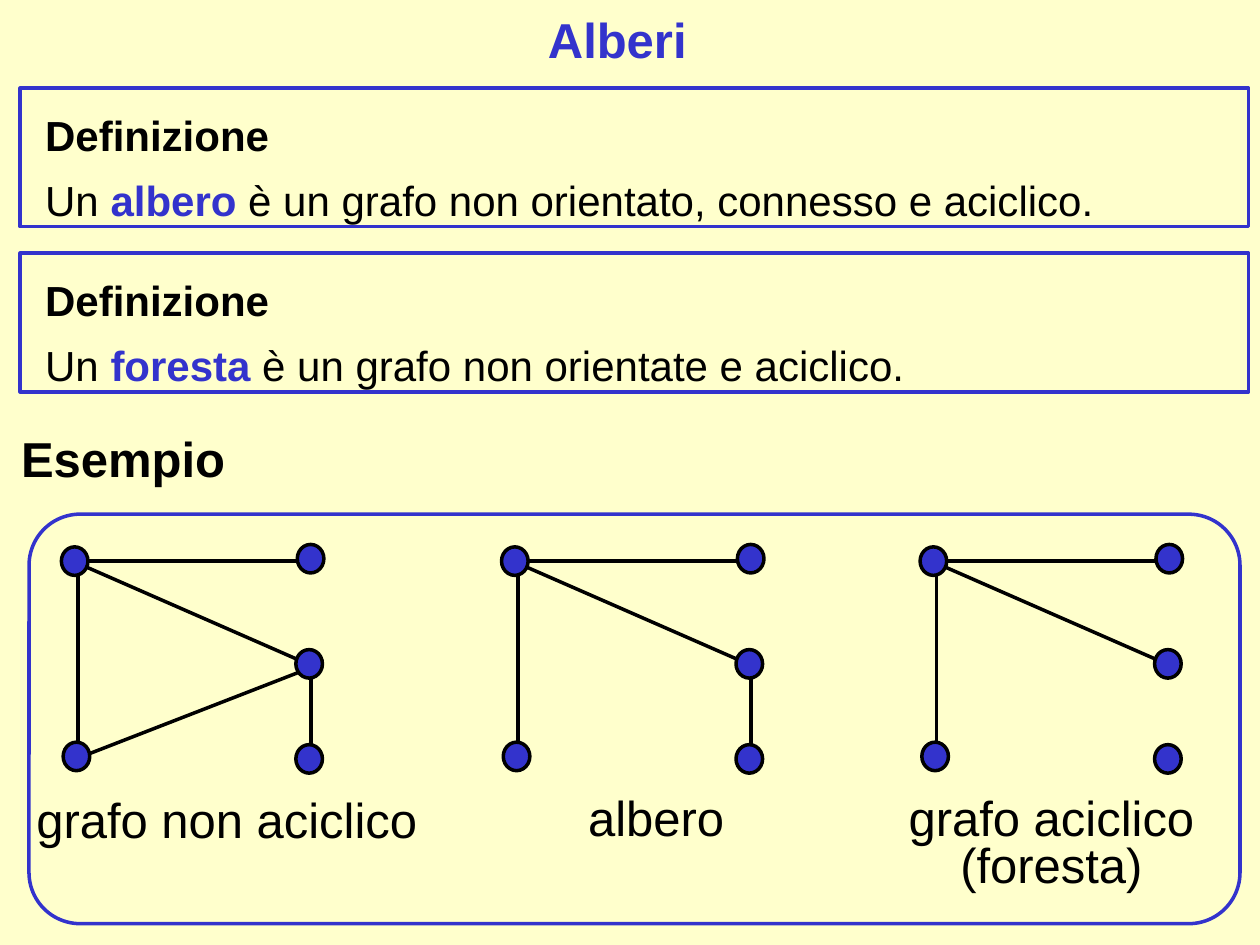
from lxml.etree import SubElement
from pptx import Presentation
from pptx.dml.color import RGBColor
from pptx.enum.shapes import MSO_CONNECTOR as Conn, MSO_SHAPE as Kind
from pptx.enum.text import MSO_ANCHOR as Anchor, MSO_AUTO_SIZE as Fit, PP_ALIGN as Align
from pptx.oxml.ns import qn
from pptx.util import Pt

BLUE = RGBColor(0x33, 0x33, 0xCC)
BLACK = RGBColor(0, 0, 0)
CREAM = RGBColor(0xFF, 0xFF, 0xCC)

# Node corners and edge ends, measured from the first node of a graph
NODES = {"A": (0, 0), "B": (134.8, -1.4), "C": (134, 58.7),
         "D": (1, 111.6), "E": (134, 113)}
EDGES = {"AB": (8.5, 8, 143.6, 8), "AC": (10.8, 10, 142.6, 67.7),
         "AD": (9.4, 11, 9.4, 116.6), "CE": (142.6, 71.3, 142.6, 120.2),
         "CD": (10.8, 120.2, 142.6, 69)}


class Board:
    font = "Arial"
    weight = Pt(2)

    def __init__(self, deck):
        self.slide = deck.slides.add_slide(deck.slide_layouts[5])
        fill = self.slide.background.fill
        fill.solid()
        fill.fore_color.rgb = CREAM

    def run(self, para, text, size, color=BLACK, bold=False):
        run = para.add_run()
        run.text = text
        font = run.font
        font.name, font.size, font.bold = self.font, Pt(size), bold
        font.color.rgb = color

    def title(self, text, x, y, w, h):
        box = self.slide.shapes.title
        box.left, box.top, box.width, box.height = map(Pt, (x, y, w, h))
        frame = box.text_frame
        frame.vertical_anchor = Anchor.MIDDLE
        para = frame.paragraphs[0]
        para.alignment = Align.CENTER
        self.run(para, text, 28, BLUE, True)

    def label(self, home, lines, x, y, w, h, bold=False):
        frame = home.add_textbox(Pt(x), Pt(y), Pt(w), Pt(h)).text_frame
        frame.word_wrap = False
        frame.auto_size = Fit.SHAPE_TO_FIT_TEXT
        for i, text in enumerate(lines):
            para = frame.add_paragraph() if i else frame.paragraphs[0]
            if len(lines) > 1:
                para.alignment = Align.CENTER
                para.line_spacing = 0.8
            self.run(para, text, 28, bold=bold)

    def shape(self, home, kind, x, y, w, h, line=BLUE, fill=None):
        item = home.add_shape(kind, Pt(x), Pt(y), Pt(w), Pt(h))
        item.shadow.inherit = False
        item.line.color.rgb = line
        item.line.width = self.weight
        if fill is None:
            item.fill.background()
        else:
            item.fill.solid()
            item.fill.fore_color.rgb = fill
        return item

    def define(self, y, term, rest):
        box = self.shape(self.slide.shapes, Kind.RECTANGLE, 11.5, y, 702, 79.2)
        frame = box.text_frame
        frame.word_wrap = True
        frame.auto_size = Fit.SHAPE_TO_FIT_TEXT
        frame.vertical_anchor = Anchor.TOP
        head, body = frame.paragraphs[0], frame.add_paragraph()
        for para in (head, body):
            para._p.get_or_add_pPr().set("marL", str(Pt(7.2)))
            para.alignment = Align.JUSTIFY
            para.line_spacing = 1.3
        self.run(head, "Definizione", 24, bold=True)
        self.run(body, "Un ", 24)
        self.run(body, term + " ", 24, BLUE, True)
        self.run(body, rest, 24)

    def edge(self, home, x1, y1, x2, y2):
        line = home.add_connector(Conn.STRAIGHT, Pt(x1), Pt(y1), Pt(x2), Pt(y2))
        line.line.color.rgb = BLACK
        line.line.width = self.weight
        SubElement(line._element.spPr, qn("a:effectLst"))

    def graph(self, x, y, edges, lines, place):
        home = self.slide.shapes.add_group_shape().shapes
        for name in edges:
            x1, y1, x2, y2 = EDGES[name]
            self.edge(home, x + x1, y + y1, x + x2, y + y2)
        for dx, dy in NODES.values():
            self.shape(home, Kind.OVAL, x + dx, y + dy, 15.2, 16.3, BLACK, BLUE)
        self.label(home, lines, *place)


def main():
    deck = Presentation()
    deck.slide_width, deck.slide_height = Pt(720), Pt(540)
    board = Board(deck)

    # Title and definitions
    board.title("Alberi", 8.6, 6.5, 688.3, 31.7)
    board.define(50.4, "albero", "è un grafo non orientato, connesso e aciclico.")
    board.define(144.7, "foresta", "è un grafo non orientate e aciclico.")

    # Example frame
    shapes = board.slide.shapes
    board.label(shapes, ["Esempio"], 5, 241.2, 131, 41, bold=True)
    frame = board.shape(shapes, Kind.ROUNDED_RECTANGLE, 16.6, 293.8, 692, 234)
    frame.adjustments[0] = 0.125

    # Graphs: left edge, edges, caption, caption place
    graphs = [
        (35.1, ["AB", "AC", "AD", "CE", "CD"], ["grafo non aciclico"],
         (13.7, 447.8, 232.6, 41)),
        (286.6, ["AB", "AC", "AD", "CE"], ["albero"], (329, 446.4, 92.2, 41)),
        (525.8, ["AB", "AC", "AD"], ["grafo aciclico", "(foresta)"],
         (511.9, 452.9, 177.8, 61.2)),
    ]
    for x, edges, lines, place in graphs:
        board.graph(x, 312.5, edges, lines, place)

    deck.save("out.pptx")


if __name__ == "__main__":
    main()
